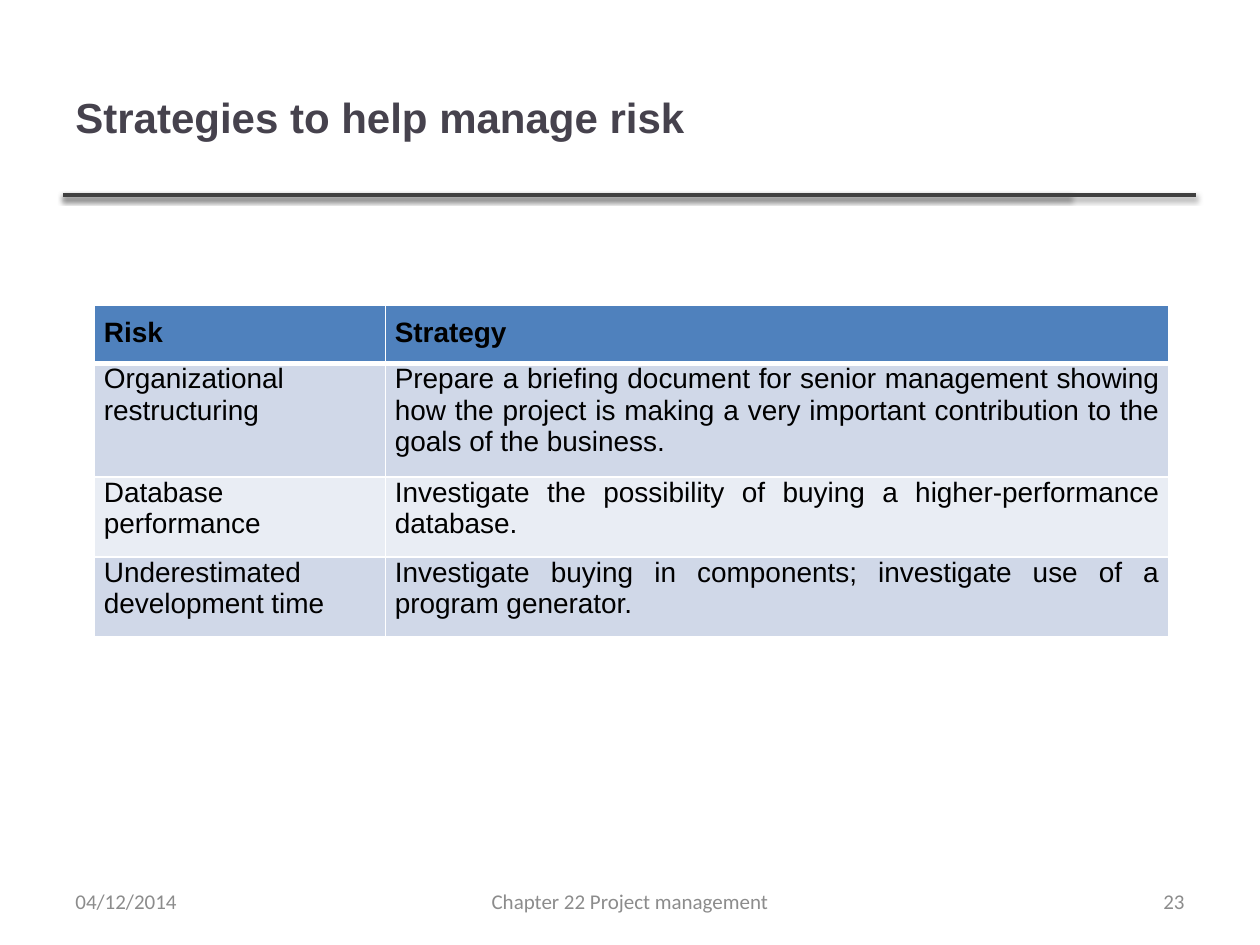
"""Builds the slide on strategies to help manage risk."""
from lxml import etree
from pptx import Presentation
from pptx.dml.color import RGBColor
from pptx.enum.shapes import MSO_CONNECTOR
from pptx.enum.text import MSO_ANCHOR, PP_ALIGN
from pptx.oxml.ns import qn
from pptx.util import Pt

LEFT, CENTER, RIGHT, JUSTIFY = (
    PP_ALIGN.LEFT, PP_ALIGN.CENTER, PP_ALIGN.RIGHT, PP_ALIGN.JUSTIFY)
MIDDLE = MSO_ANCHOR.MIDDLE
STRAIGHT = MSO_CONNECTOR.STRAIGHT

COLORS = {
    "title": "46424D", "rule": "404040", "footer": "8C8C8C", "ink": "000000",
    "header": "4F81BD", "odd": "D0D8E8", "even": "E9EDF4", "border": "FFFFFF",
}
STRATEGIES = [
    ("Risk", "Strategy"),
    ("Organizational restructuring",
     "Prepare a briefing document for senior management showing how the project "
     "is making a very important contribution to the goals of the business."),
    ("Database performance",
     "Investigate the possibility of buying a higher-performance database."),
    ("Underestimated development time",
     "Investigate buying in components; investigate use of a program generator."),
]
COLUMN_WIDTHS = (166.25, 447.75)
ROW_HEIGHT = 29.5
MARGIN = 36


def rgb(name):
    """Return the palette colour of that name."""
    return RGBColor.from_string(COLORS[name])


def write(frame, text, size=16, font="Arial", color="ink", bold=False, align=LEFT):
    """Put formatted text into a text frame."""
    paragraph = frame.paragraphs[0]
    paragraph.alignment = align
    run = paragraph.add_run()
    run.text = text
    run.font.size = Pt(size)
    run.font.name = font
    run.font.bold = bold
    run.font.color.rgb = rgb(color)


def add_label(slide, text, left, top, width, height, **style):
    """Add a wrapped, vertically centred text box."""
    label = slide.shapes.add_textbox(Pt(left), Pt(top), Pt(width), Pt(height))
    frame = label.text_frame
    frame.word_wrap = True
    frame.vertical_anchor = MIDDLE
    write(frame, text, **style)


def add_rule(slide, left, right, y):
    """Add a horizontal rule with a soft shadow below it."""
    rule = slide.shapes.add_connector(STRAIGHT, Pt(left), Pt(y), Pt(right), Pt(y))
    rule.line.color.rgb = rgb("rule")
    rule.line.width = Pt(2)
    effects = etree.SubElement(rule._element.spPr, qn("a:effectLst"))
    shadow = etree.SubElement(
        effects, qn("a:outerShdw"), blurRad=str(Pt(3.1)), dist=str(Pt(1.6)),
        dir="5400000", rotWithShape="0")
    shade = etree.SubElement(shadow, qn("a:srgbClr"), val=COLORS["ink"])
    etree.SubElement(shade, qn("a:alpha"), val="38000")


def set_borders(cell, bottom):
    """Draw the white borders of a cell."""
    properties = cell._tc.get_or_add_tcPr()
    for side, width in (("L", 1), ("R", 1), ("T", 1), ("B", bottom)):
        border = etree.SubElement(properties, qn(f"a:ln{side}"), w=str(Pt(width)))
        fill = etree.SubElement(border, qn("a:solidFill"))
        etree.SubElement(fill, qn("a:srgbClr"), val=COLORS["border"])


def fill_cell(cell, text, row, column):
    """Format one cell by its row and column."""
    is_header = row == 0
    set_borders(cell, bottom=3 if is_header else 1)
    cell.fill.solid()
    cell.fill.fore_color.rgb = rgb("header" if is_header else "odd" if row % 2 else "even")
    cell.margin_left = cell.margin_right = Pt(5.4)
    cell.margin_top = Pt(7.2 if is_header else 0)
    cell.margin_bottom = Pt(7.2)
    write(cell.text_frame, text, bold=is_header,
          align=JUSTIFY if is_header or column else LEFT)


def add_strategy_table(slide, left, top, height):
    """Add the table of risks and strategies."""
    holder = slide.shapes.add_table(
        len(STRATEGIES), len(COLUMN_WIDTHS), Pt(left), Pt(top),
        Pt(sum(COLUMN_WIDTHS)), Pt(height))
    table = holder.table
    for column, width in zip(table.columns, COLUMN_WIDTHS):
        column.width = Pt(width)
    for row, texts in enumerate(STRATEGIES):
        table.rows[row].height = Pt(ROW_HEIGHT)
        for column, text in enumerate(texts):
            fill_cell(table.cell(row, column), text, row, column)
    holder.height = Pt(height)


def main():
    """Build and save the slide."""
    deck = Presentation()
    deck.slide_width, deck.slide_height = Pt(720), Pt(540)
    slide = deck.slides.add_slide(deck.slide_layouts[6])
    for rule_end in (611.5, 683.5):
        add_rule(slide, MARGIN, rule_end, 111.5)
    add_label(slide, "Strategies to help manage risk", MARGIN, 21.5, 574.5, 90,
              size=24, color="title", bold=True)
    add_strategy_table(slide, 54, 174.25, 189.5)
    footers = (
        ("04/12/2014", MARGIN, 168, LEFT),
        ("Chapter 22 Project management", 246, 228, CENTER),
        ("23", 516, 168, RIGHT),
    )
    for text, left, width, align in footers:
        add_label(slide, text, left, 500.5, width, 28.75,
                  size=12, font="Calibri", color="footer", align=align)
    deck.save("out.pptx")


if __name__ == "__main__":
    main()
